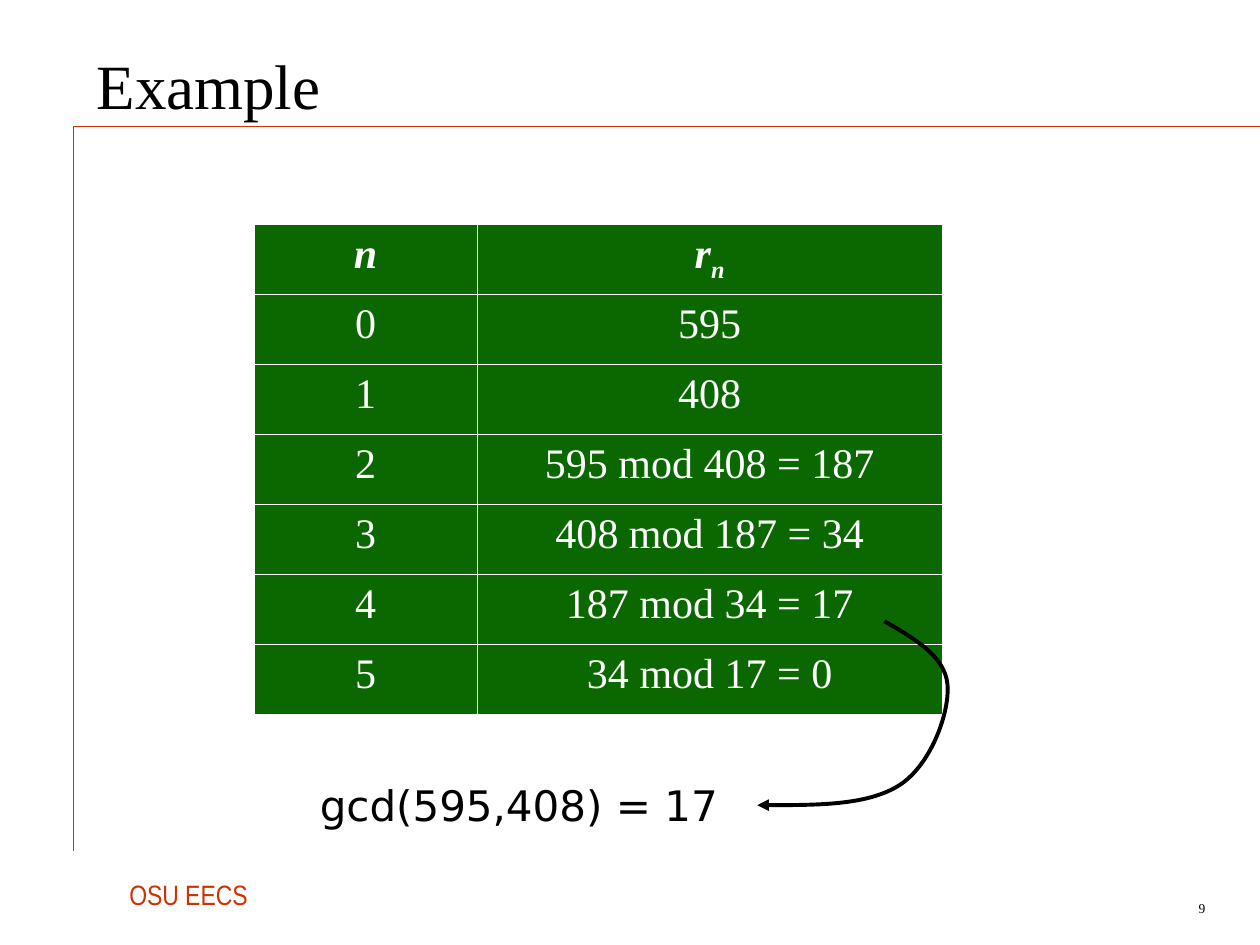
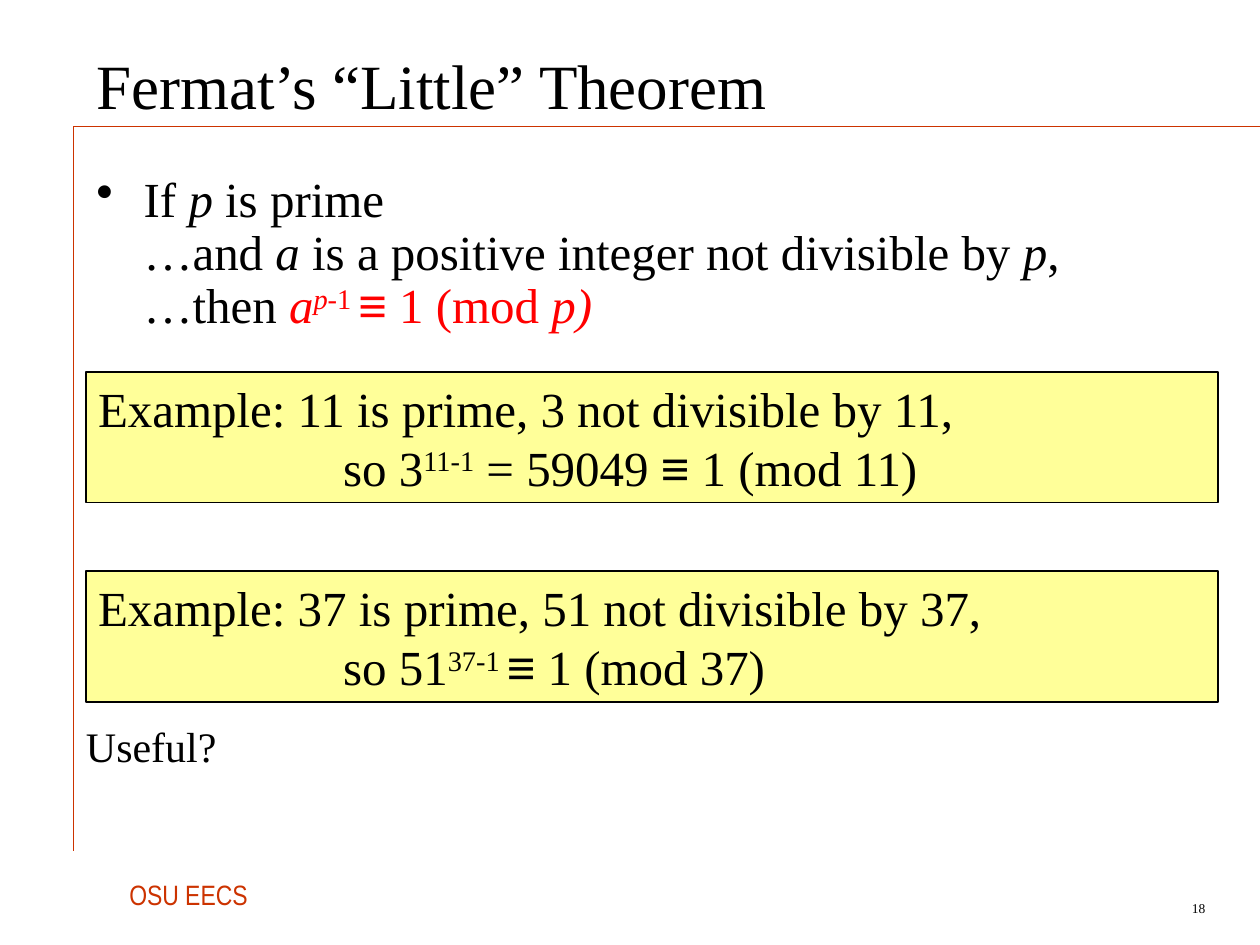
from lxml import etree
from pptx import Presentation
from pptx import util as u
from pptx.dml.color import RGBColor
from pptx.enum import shapes, text
from pptx.oxml.ns import qn

BLACK, WHITE, RUST = "000000", "FFFFFF", "CC3300"
GREEN, YELLOW, RED = "0B6800", "FFFF99", "FF0000"
SERIF = "Times New Roman"


def colour(hex_code):
    return RGBColor.from_string(hex_code)


def write(para, words, size=28, face=SERIF, hue=BLACK, bold=False, italic=False, base=0):
    span = para.add_run()
    span.text = words
    span.font.size = u.Pt(size)
    span.font.name = face
    span.font.color.rgb = colour(hue)
    span.font.bold = bold
    span.font.italic = italic
    if base:
        span.font._element.set("baseline", str(base * 1000))


deck = Presentation()
deck.slide_width, deck.slide_height = u.Pt(720), u.Pt(540)

pages = []
for title, number in [("Example", "9"), ("Fermat’s “Little” Theorem", "18")]:
    page = deck.slides.add_slide(deck.slide_layouts[5])
    pages.append(page)

    for end_x, end_y, weight in [(720, 72, 0.25), (42, 486, 0.75)]:
        rule = page.shapes.add_connector(
            shapes.MSO_CONNECTOR.STRAIGHT, u.Pt(42), u.Pt(72), u.Pt(end_x), u.Pt(end_y))
        rule.line.color.rgb = colour(RUST)
        rule.line.width = u.Pt(weight)
        etree.SubElement(rule._element.spPr, qn("a:effectLst"))

    footer = page.shapes.add_textbox(u.Pt(66.8), u.Pt(498.2), u.Pt(85.7), u.Pt(26.6))
    write(footer.text_frame.paragraphs[0], "OSU EECS", size=16, face="Arial Narrow", hue=RUST)

    folio = page.shapes.add_textbox(u.Pt(635.8), u.Pt(510), u.Pt(60), u.Pt(18))
    folio.text_frame.word_wrap = True
    folio.text_frame.vertical_anchor = text.MSO_ANCHOR.MIDDLE
    para = folio.text_frame.paragraphs[0]
    para.alignment = text.PP_ALIGN.RIGHT
    write(para, number, size=7.7)

    heading = page.shapes.title
    heading.left, heading.top = u.Pt(48), u.Pt(12)
    heading.width, heading.height = u.Pt(649), u.Pt(72)
    heading.text_frame.auto_size = text.MSO_AUTO_SIZE.NONE
    heading.text_frame.vertical_anchor = text.MSO_ANCHOR.MIDDLE
    para = heading.text_frame.paragraphs[0]
    para.alignment = text.PP_ALIGN.LEFT
    write(para, title, size=36)

euclid, fermat = pages

remainders = ["595", "408", "595 mod 408 = 187", "408 mod 187 = 34",
              "187 mod 34 = 17", "34 mod 17 = 0"]
rows = [("n", "r")] + [(str(n), value) for n, value in enumerate(remainders)]
table = euclid.shapes.add_table(
    len(rows), 2, u.Pt(145.2), u.Pt(128.4), u.Pt(393.2), u.Pt(280)).table
table.columns[0].width, table.columns[1].width = u.Pt(127.5), u.Pt(265.7)
for r, row in enumerate(rows):
    table.rows[r].height = u.Pt(40)
    for c, words in enumerate(row):
        cell = table.cell(r, c)
        para = cell.text_frame.paragraphs[0]
        para.alignment = text.PP_ALIGN.CENTER
        write(para, words, size=24, hue=WHITE, bold=r == 0, italic=r == 0)
        if words == "r":
            write(para, "n", size=24, hue=WHITE, bold=True, italic=True, base=-25)
        props = cell._tc.get_or_add_tcPr()
        for side in ("lnL", "lnR", "lnT", "lnB"):
            border = etree.SubElement(props, qn(f"a:{side}"), w=str(u.Pt(0.45)))
            paint = etree.SubElement(border, qn("a:solidFill"))
            etree.SubElement(paint, qn("a:srgbClr"), val=WHITE)
        cell.fill.solid()
        cell.fill.fore_color.rgb = colour(GREEN)

result = euclid.shapes.add_textbox(u.Pt(175.7), u.Pt(442), u.Pt(272), u.Pt(36))
result.text_frame.word_wrap = True
write(result.text_frame.paragraphs[0], "gcd(595,408) = 17", size=24, face="DejaVu Sans")

curve = [(464.4, 460.1), (496.1, 460.1), (514.1, 448.6),
         (532.1, 437), (542.9, 406.8), (541.4, 391),
         (540, 375.1), (522.7, 365), (505.4, 355)]
builder = euclid.shapes.build_freeform(u.Pt(432.7), u.Pt(460.1))
builder.add_line_segments([(u.Pt(x), u.Pt(y)) for x, y in curve], close=False)
arrow = builder.convert_to_shape()
arrow.shadow.inherit = False
arrow.fill.background()
arrow.line.color.rgb = colour(BLACK)
arrow.line.width = u.Pt(2.25)
etree.SubElement(arrow.line._get_or_add_ln(), qn("a:headEnd"), type="triangle")
steps = list(arrow._element.iter(qn("a:lnTo")))
for first in range(0, len(steps), 3):
    bend = steps[first]
    bend.addprevious(etree.Element(qn("a:cubicBezTo")))
    bezier = bend.getprevious()
    for step in steps[first:first + 3]:
        bezier.append(step[0])
        step.getparent().remove(step)

theorem = fermat.shapes.add_textbox(u.Pt(48), u.Pt(96), u.Pt(650), u.Pt(118))
theorem.text_frame.word_wrap = True
para = theorem.text_frame.paragraphs[0]
props = para._p.get_or_add_pPr()
props.set("marL", str(u.Pt(27)))
props.set("indent", str(u.Pt(-27)))
tint = etree.SubElement(props, qn("a:buClr"))
etree.SubElement(tint, qn("a:srgbClr"), val=BLACK)
etree.SubElement(props, qn("a:buChar"), char="•")
para.line_spacing = u.Pt(30.4)
claim = [
    [("If ", {}), ("p", {"italic": True}), (" is prime", {})],
    [("…and ", {}), ("a", {"italic": True}),
     (" is a positive integer not divisible by ", {}), ("p", {"italic": True}), (",", {})],
    [("…then ", {}), ("a", {"hue": RED, "italic": True}),
     ("p", {"hue": RED, "italic": True, "base": 30}), ("-1 ", {"hue": RED, "base": 30}),
     ("≡", {"hue": RED, "face": "Arial"}), (" 1 (mod ", {"hue": RED}),
     ("p)", {"hue": RED, "italic": True})],
]
for i, line in enumerate(claim):
    if i:
        para.add_line_break()
    for words, style in line:
        write(para, words, **style)

examples = [
    (212.6, "Example: 11 is prime, 3 not divisible by 11,", "so 3", "11-1", " = 59049 ", " 1 (mod 11)"),
    (326.4, "Example: 37 is prime, 51 not divisible by 37,", "so 51", "37-1 ", "", " 1 (mod 37)"),
]
for top, premise, start, power, value, ending in examples:
    box = fermat.shapes.add_shape(
        shapes.MSO_SHAPE.RECTANGLE, u.Pt(49), u.Pt(top), u.Pt(647.2), u.Pt(74.6))
    box.shadow.inherit = False
    box.fill.solid()
    box.fill.fore_color.rgb = colour(YELLOW)
    box.line.color.rgb = colour(BLACK)
    box.line.width = u.Pt(1)
    frame = box.text_frame
    frame.word_wrap = True
    frame.vertical_anchor = text.MSO_ANCHOR.TOP
    opening, proof = frame.paragraphs[0], frame.add_paragraph()
    for para in (opening, proof):
        para.alignment = text.PP_ALIGN.LEFT
        para.line_spacing = u.Pt(33.8)
    proof._p.get_or_add_pPr().set("marL", str(u.Pt(140)))
    write(opening, premise)
    write(proof, start)
    write(proof, power, base=30)
    if value:
        write(proof, value)
    write(proof, "≡", face="Arial")
    write(proof, ending)

question = fermat.shapes.add_textbox(u.Pt(42), u.Pt(408.2), u.Pt(660), u.Pt(102))
question.text_frame.word_wrap = True
write(question.text_frame.paragraphs[0], "Useful?", size=24)

deck.save("out.pptx")
